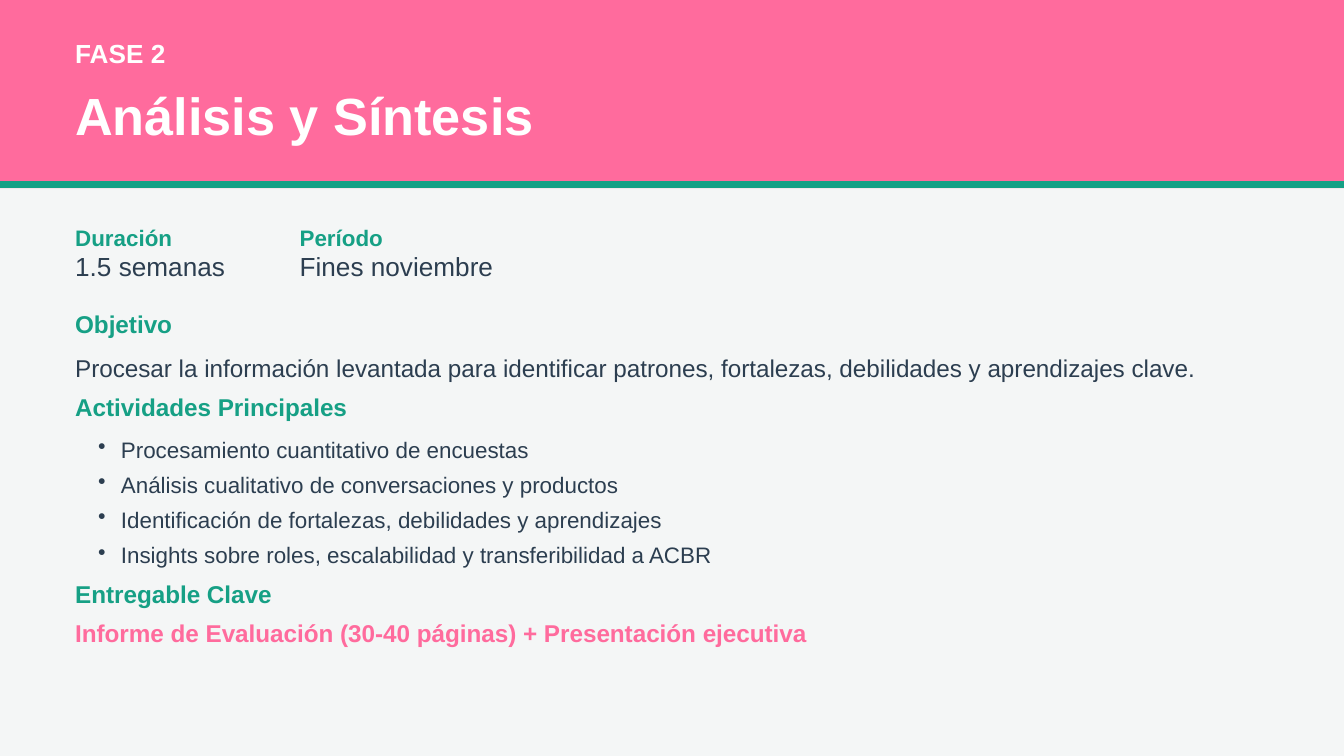
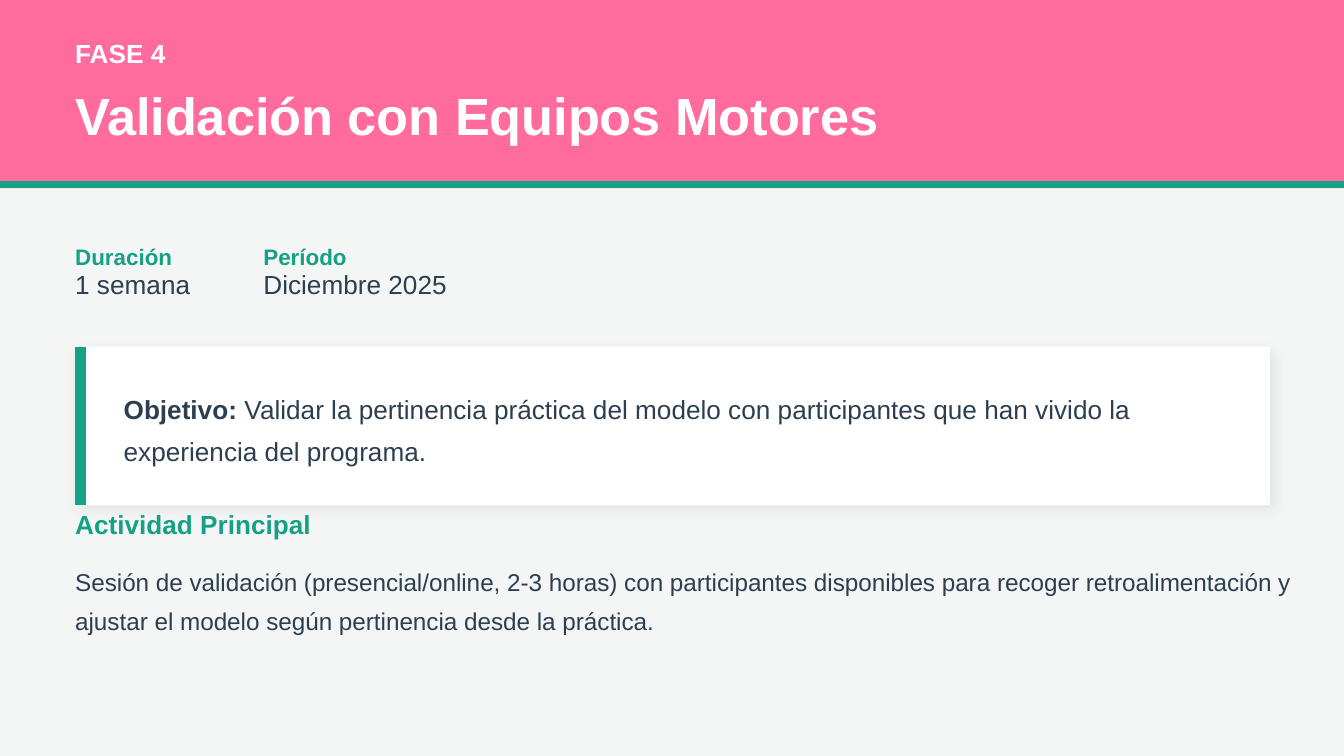
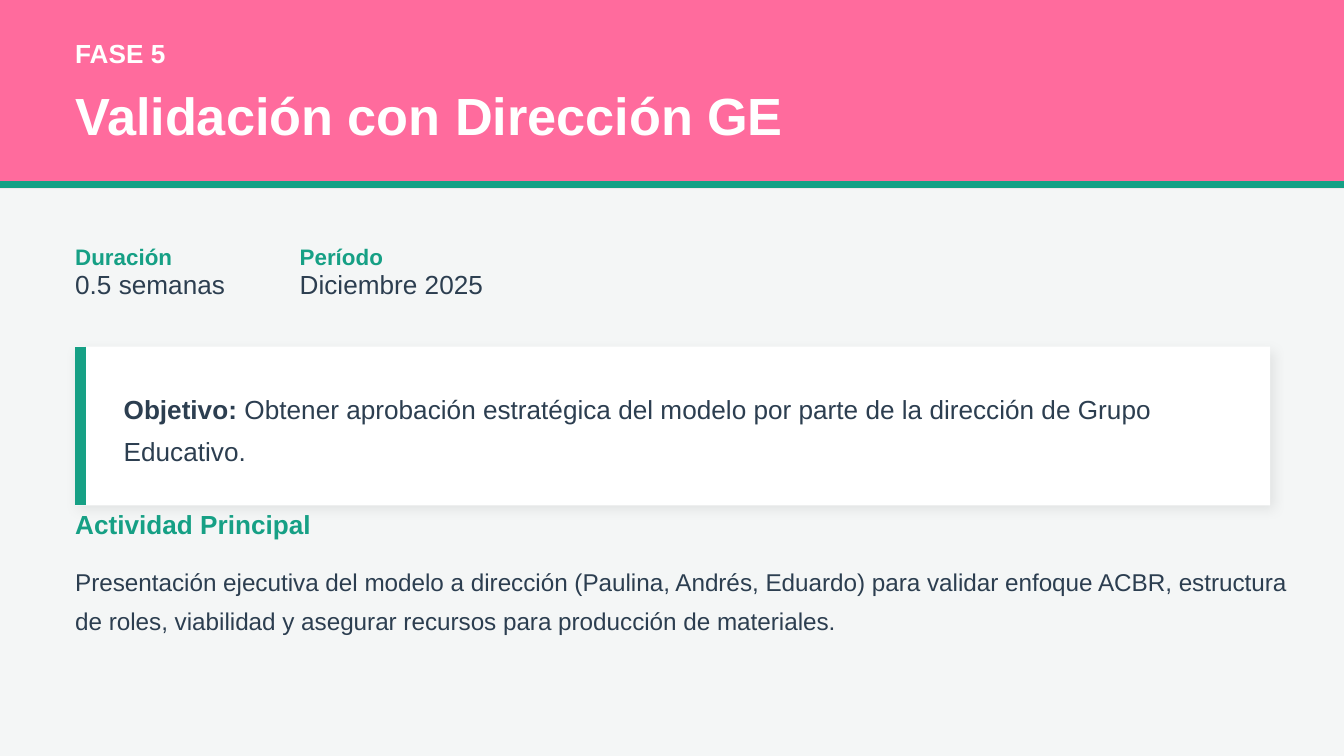
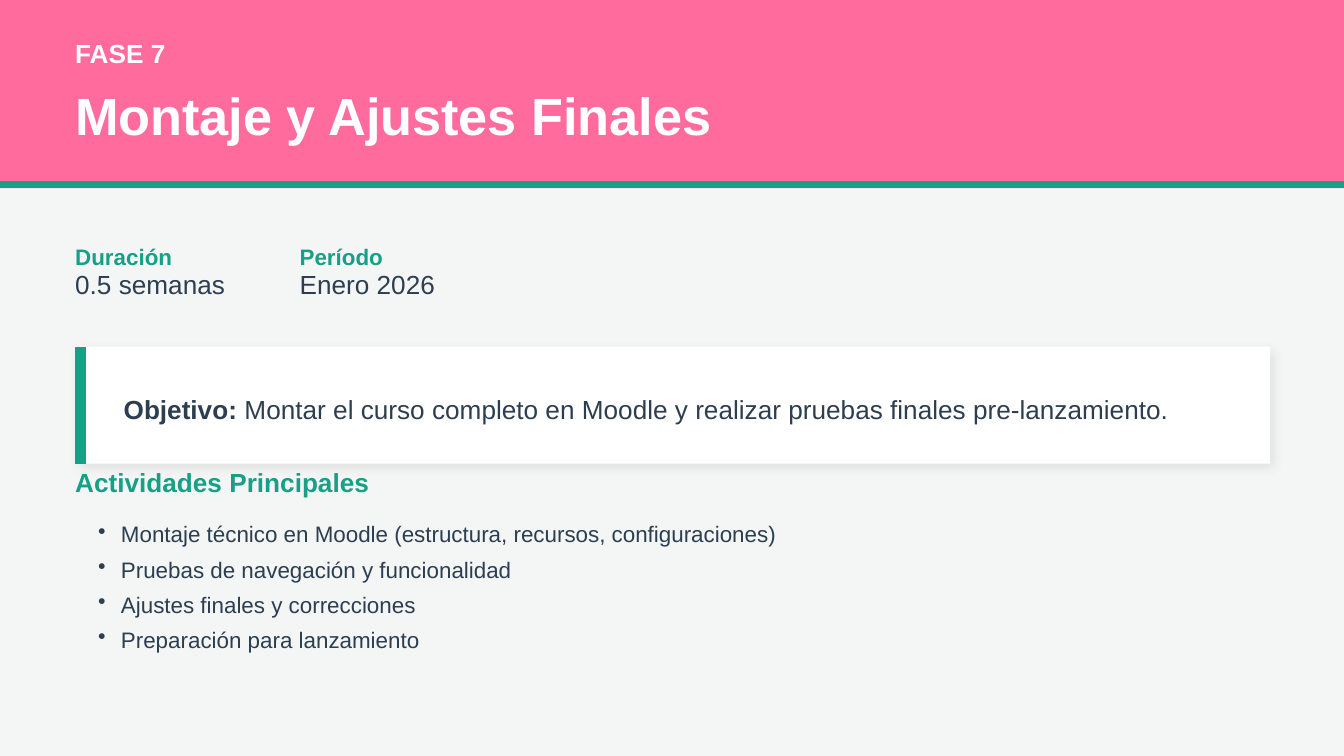
from lxml.etree import SubElement
from pptx import Presentation
from pptx.dml.color import RGBColor
from pptx.enum.shapes import MSO_CONNECTOR as CONNECTOR, MSO_SHAPE as SHAPE
from pptx.enum.text import MSO_ANCHOR as ANCHOR, MSO_AUTO_SIZE as AUTO_SIZE, PP_ALIGN as ALIGN
from pptx.oxml.ns import qn
from pptx.util import Inches, Pt

PINK, GREEN, DARK = "FF6B9D", "16A085", "2C3E50"
WHITE, PALE, BLACK = "FFFFFF", "F4F6F6", "000000"
FONT = "Arial"
LEFT, TEXT_W, CARD_W = 0.56, 9.07, 8.89
META_GAP = 0.53
CARD_TOP = 2.58


def color(value):
    return RGBColor.from_string(value)


def style_run(r, size, fill, bold=False):
    r.font.name = FONT
    r.font.size = Pt(size)
    r.font.bold = bold
    r.font.color.rgb = color(fill)


def place(shape, x, y, w, h):
    shape.left, shape.top = Inches(x), Inches(y)
    shape.width, shape.height = Inches(w), Inches(h)


def prepare_frame(tf, inset=0):
    tf.word_wrap = True
    tf.auto_size = AUTO_SIZE.NONE
    tf.vertical_anchor = ANCHOR.TOP
    tf.margin_left = Inches(inset)
    tf.margin_top = tf.margin_right = tf.margin_bottom = 0


def add_box(s, x, y, w, h, inset=0):
    tf = s.shapes.add_textbox(Inches(x), Inches(y), Inches(w), Inches(h)).text_frame
    prepare_frame(tf, inset)
    return tf


def add_text(s, text, x, y, w, h, size, fill, bold=False, leading=None, after=None):
    tf = add_box(s, x, y, w, h)
    tf.text = text
    p = tf.paragraphs[0]
    if leading:
        p.line_spacing = Pt(leading)
    if after:
        p.space_after = Pt(after)
    style_run(p.runs[0], size, fill, bold)


def add_rect(s, x, y, w, h, fill):
    sp = s.shapes.add_shape(SHAPE.RECTANGLE, Inches(x), Inches(y), Inches(w), Inches(h))
    sp.shadow.inherit = False
    sp.fill.solid()
    sp.fill.fore_color.rgb = color(fill)
    sp.line.fill.background()
    return sp


def add_line(s, x1, y1, x2, y2, width):
    line = s.shapes.add_connector(CONNECTOR.STRAIGHT, Inches(x1), Inches(y1), Inches(x2), Inches(y2))
    line.line.color.rgb = color(GREEN)
    line.line.width = Pt(width)
    SubElement(line.element.spPr, qn("a:effectLst"))


def add_soft_shadow(sp):
    effects = sp.element.spPr.find(qn("a:effectLst"))
    shadow = SubElement(effects, qn("a:outerShdw"), blurRad=str(Pt(6)), dist=str(Pt(2.1)),
                        dir=str(45 * 60000), algn="bl", rotWithShape="0")
    tint = SubElement(shadow, qn("a:srgbClr"), val=BLACK)
    SubElement(tint, qn("a:alpha"), val="8000")


def add_phase_slide(prs, phase, title):
    s = prs.slides.add_slide(prs.slide_layouts[5])
    add_rect(s, 0, 0, 10, 1.4, PINK)
    add_line(s, 0, 1.37, 10, 1.37, 3.75)
    add_text(s, f"FASE {phase}", LEFT, 0.28, TEXT_W, 0.23, 14, WHITE, True, after=8)
    heading = s.shapes.title
    heading.element.getparent().append(heading.element)
    place(heading, LEFT, 0.62, TEXT_W, 0.45)
    tf = heading.text_frame
    prepare_frame(tf)
    tf.text = title
    p = tf.paragraphs[0]
    p.alignment = ALIGN.LEFT
    style_run(p.runs[0], 28, WHITE, True)
    return s


def add_meta(s, y, duration, duration_w, period, period_w):
    period_x = LEFT + duration_w + META_GAP
    for label, value, x, w in (("Duración", duration, LEFT, duration_w),
                               ("Período", period, period_x, period_w)):
        add_text(s, label, x, y, w, 0.19, 12, GREEN, True)
        add_text(s, value, x, y + 0.19, w, 0.23, 14, DARK)


def add_heading(s, text, y, size, after):
    add_text(s, text, LEFT, y, TEXT_W, 0.23, size, GREEN, True, after=after)


def add_bullets(s, items, y):
    tf = add_box(s, LEFT, y, CARD_W, 1.02, inset=0.17)
    tf.text = "\n".join(items)
    for p in tf.paragraphs:
        p.line_spacing = Pt(16.8)
        p.space_after = Pt(2)
        props = p._p.get_or_add_pPr()
        props.set("marL", str(Inches(0.17)))
        props.set("indent", str(Inches(-0.17)))
        SubElement(props, qn("a:buSzPct"), val="100000")
        SubElement(props, qn("a:buChar"), char="•")
        style_run(p.runs[0], 12, DARK)


def add_objective_card(s, text, lines):
    text_h = 0.31 * lines
    card_h = text_h + 0.56
    add_soft_shadow(add_rect(s, LEFT, CARD_TOP, CARD_W, card_h, WHITE))
    add_line(s, 0.6, CARD_TOP, 0.6, CARD_TOP + card_h, 6)
    p = add_box(s, 0.92, 2.85, 8.42, text_h).paragraphs[0]
    p.line_spacing = Pt(22.4)
    for part, bold in (("Objetivo:", True), (f" {text}", False)):
        r = p.add_run()
        r.text = part
        style_run(r, 14, DARK, bold)
    return CARD_TOP + card_h + 0.02


def build_analysis(prs):
    s = add_phase_slide(prs, 2, "Análisis y Síntesis")
    add_meta(s, 1.67, "1.5 semanas", 1.14, "Fines noviembre", 1.47)
    add_heading(s, "Objetivo", 2.3, 13, 5)
    add_text(s, "Procesar la información levantada para identificar patrones, fortalezas, "
             "debilidades y aprendizajes clave.", LEFT, 2.59, TEXT_W, 0.25, 13, DARK, leading=18.2)
    add_heading(s, "Actividades Principales", 2.92, 13, 5)
    add_bullets(s, ["Procesamiento cuantitativo de encuestas",
                    "Análisis cualitativo de conversaciones y productos",
                    "Identificación de fortalezas, debilidades y aprendizajes",
                    "Insights sobre roles, escalabilidad y transferibilidad a ACBR"], 3.21)
    add_heading(s, "Entregable Clave", 4.31, 13, 5)
    add_text(s, "Informe de Evaluación (30-40 páginas) + Presentación ejecutiva",
             LEFT, 4.6, TEXT_W, 0.22, 13, PINK, True)


def build_validation(prs, phase, title, duration, duration_w, objective, activity):
    s = add_phase_slide(prs, phase, title)
    add_meta(s, 1.81, duration, duration_w, "Diciembre 2025", 1.39)
    y = add_objective_card(s, objective, 2)
    add_heading(s, "Actividad Principal", y, 14, 10)
    add_text(s, activity, LEFT, y + 0.37, TEXT_W, 0.58, 13, DARK, leading=20.8)


def build_assembly(prs):
    s = add_phase_slide(prs, 7, "Montaje y Ajustes Finales")
    add_meta(s, 1.81, "0.5 semanas", 1.14, "Enero 2026", 1.03)
    y = add_objective_card(s, "Montar el curso completo en Moodle y realizar pruebas finales "
                           "pre-lanzamiento.", 1)
    add_heading(s, "Actividades Principales", y, 14, 10)
    add_bullets(s, ["Montaje técnico en Moodle (estructura, recursos, configuraciones)",
                    "Pruebas de navegación y funcionalidad",
                    "Ajustes finales y correcciones",
                    "Preparación para lanzamiento"], y + 0.37)


def main():
    prs = Presentation()
    prs.slide_width = Inches(10)
    prs.slide_height = prs.slide_width * 9 // 16
    background = prs.slide_master.background.fill
    background.solid()
    background.fore_color.rgb = color(PALE)

    build_analysis(prs)
    build_validation(
        prs, 4, "Validación con Equipos Motores", "1 semana", 0.87,
        "Validar la pertinencia práctica del modelo con participantes que han vivido la "
        "experiencia del programa.",
        "Sesión de validación (presencial/online, 2-3 horas) con participantes disponibles para "
        "recoger retroalimentación y ajustar el modelo según pertinencia desde la práctica.")
    build_validation(
        prs, 5, "Validación con Dirección GE", "0.5 semanas", 1.14,
        "Obtener aprobación estratégica del modelo por parte de la dirección de Grupo Educativo.",
        "Presentación ejecutiva del modelo a dirección (Paulina, Andrés, Eduardo) para validar "
        "enfoque ACBR, estructura de roles, viabilidad y asegurar recursos para producción de "
        "materiales.")
    build_assembly(prs)
    prs.save("out.pptx")


if __name__ == "__main__":
    main()
